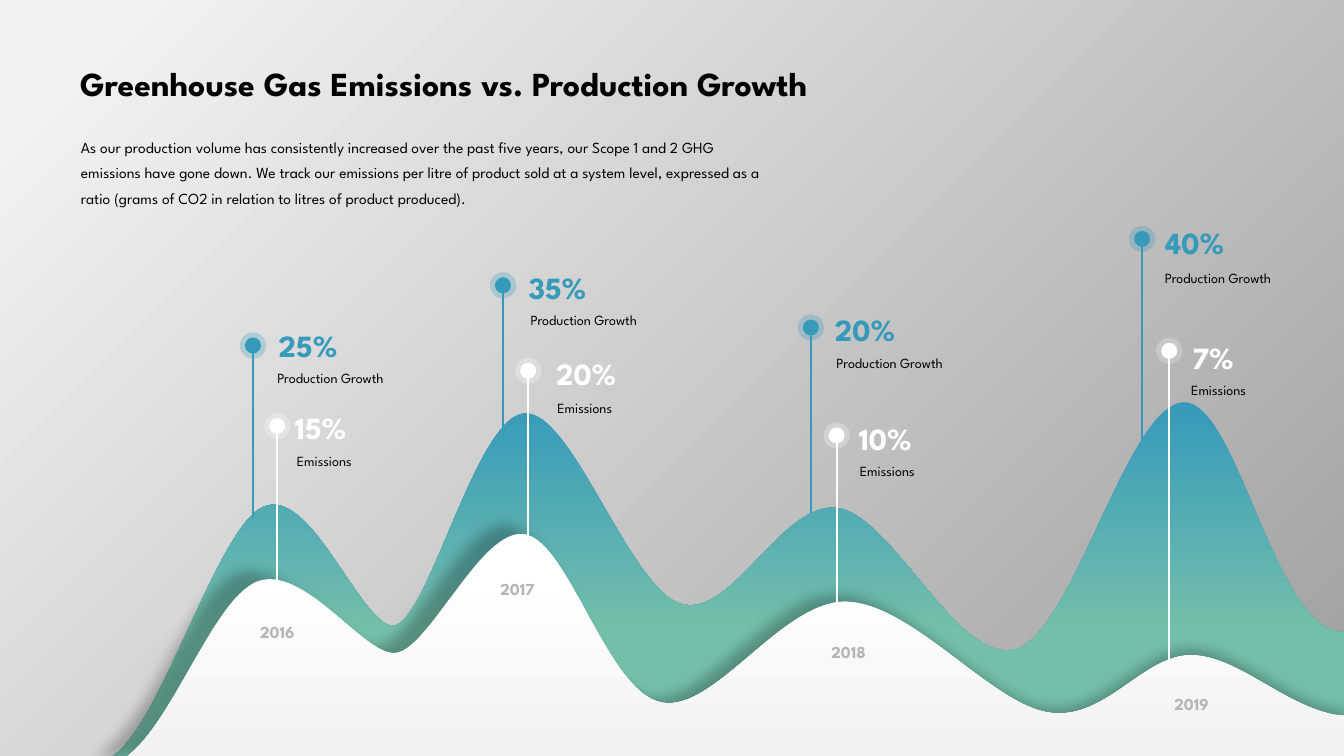
from lxml.etree import Element, SubElement
from pptx import Presentation
from pptx.dml.color import RGBColor as Rgb
from pptx.enum.shapes import MSO_CONNECTOR as Connector, MSO_SHAPE as Preset
from pptx.enum.text import MSO_AUTO_SIZE as AutoSize, PP_ALIGN as Align
from pptx.oxml.ns import qn
from pptx.util import Pt

FONT = "League Spartan"
COLORS = {
    "growth": "369ABA", "emissions": "FFFFFF", "green": "74BFAB", "text": "000000",
    "year": "B5B5B5", "pale": "F2F2F2", "dark": "9F9FA0", "shadow": "000000",
}
CAPTIONS = {"growth": "Production Growth", "emissions": "Emissions"}
HEADLINE = {"size": Pt(24), "bold": True}
BODY = {"size": Pt(11)}
VALUE = {"size": Pt(22), "bold": True}
CAPTION = {"size": Pt(10)}
YEAR = {"size": Pt(12), "bold": True}

TITLE = "Greenhouse Gas Emissions vs. Production Growth"
INTRO = (
    "As our production volume has consistently increased over the past five years, "
    "our Scope 1 and 2 GHG emissions have gone down. We track our emissions per litre "
    "of product sold at a system level, expressed as a ratio (grams of CO2 in relation "
    "to litres of product produced)."
)

GROWTH_WAVE = {
    "start": (78.5, 541.4),
    "curves": [
        (114.5, 522, 154.1, 378, 187.9, 362.2),
        (221.8, 346.3, 257.8, 447.1, 280.8, 447.1),
        (305.3, 446.4, 339.8, 298.1, 374.4, 295.2),
        (408.2, 292.3, 449.3, 419.8, 486, 431.3),
        (523.4, 442.8, 558, 357.8, 598.3, 362.9),
        (637.9, 368.6, 684.7, 475.9, 725.8, 463.7),
        (766.8, 451.4, 805.7, 289.4, 845.3, 287.3),
        (884.2, 285.8, 910.8, 455.8, 961.2, 451.4),
        (960.5, 470.2, 960.5, 489.6, 960.5, 509),
    ],
    "corners": [(960.5, 538.6)],
    "stops": [(0, "growth"), (0.65, "green")],
}
EMISSIONS_WAVE = {
    "start": (85.7, 543.6),
    "curves": [
        (121, 524.9, 151.2, 428.4, 183.6, 415.4),
        (216.7, 402.5, 258.5, 466.6, 281.5, 466.6),
        (306, 466.6, 343.4, 375.8, 375.1, 381.6),
        (406.8, 387.4, 433.4, 493.9, 472.3, 501.8),
        (510.5, 509.8, 558.7, 428.4, 604.8, 429.8),
        (651.6, 431.3, 707.8, 502.6, 748.8, 509),
        (789.8, 515.5, 815.8, 468, 851, 468),
        (884.2, 468.7, 915.1, 502.6, 952.6, 510.5),
    ],
    "corners": [(959.8, 511.2), (959.8, 540)],
    "stops": [(0.16, "emissions"), (0.98, "pale")],
}

GROWTH_PINS = [
    ("35%", (359.3, 203.8, 108), (11.2, -15.2), (12.7, 14.8), 28),
    ("20%", (579.2, 234, 136.8), (10.1, -15.8), (11.2, 15.8), 28),
    ("40%", (815.8, 170.6, 151.2), (9.4, -14.4), (9.2, 18.4), 28),
]
LATE_GROWTH_PINS = [
    ("25%", (180.7, 246.8, 122.4), (11.3, -17.1), (10.3, 13.9), 28),
]
EMISSIONS_PINS = [
    ("10%", (597.6, 311, 129.6), (8.8, -14.4), (9.5, 15.8), 28),
    ("20%", (377.3, 264.8, 122.4), (12.8, -14.9), (13.7, 16.8), 28),
    ("15%", (198, 304.3, 115.2), (5.6, -15.8), (7, 15.4), 27),
    ("7%", (835.2, 250.6, 223.2), (9.4, -12.2), (8.6, 18), 23),
]
YEARS = {
    "2016": (139.5, 434.2), "2017": (311, 403.2),
    "2018": (547.5, 448.2), "2019": (792.5, 485.3),
}


def add_text(shapes, box, text, color, font, spacing=None, align=Align.LEFT):
    shape = shapes.add_textbox(*[Pt(length) for length in box])
    frame = shape.text_frame
    frame.word_wrap = True
    frame.auto_size = AutoSize.SHAPE_TO_FIT_TEXT
    paragraph = frame.paragraphs[0]
    paragraph.alignment = align
    if spacing:
        paragraph.line_spacing = Pt(spacing)
    run = paragraph.add_run()
    run.text = text
    run.font.color.rgb = Rgb.from_string(COLORS[color])
    for name, setting in {"name": FONT, **font}.items():
        setattr(run.font, name, setting)
    return shape


def set_gradient(fill, stops):
    fill.gradient()
    for stop, (position, color) in zip(fill.gradient_stops, stops):
        stop.position = position
        stop.color.rgb = Rgb.from_string(COLORS[color])


def add_background(slide):
    fill = slide.background.fill
    set_gradient(fill, [(0, "dark"), (0.94, "pale")])
    gradient = slide.element.find(".//" + qn("a:gradFill"))
    gradient.remove(gradient.find(qn("a:lin")))
    radial = SubElement(gradient, qn("a:path"), path="circle")
    SubElement(radial, qn("a:fillToRect"), l="100000", t="100000")
    SubElement(gradient, qn("a:tileRect"), r="-100000", b="-100000")


def bend_segments(shape, curves):
    outline = shape.element.spPr.find(".//" + qn("a:path"))
    for segment, curve in zip(outline.findall(qn("a:lnTo")), curves):
        bezier = Element(qn("a:cubicBezTo"))
        for x, y in zip(curve[::2], curve[1::2]):
            SubElement(bezier, qn("a:pt"), x=str(Pt(x) - shape.left), y=str(Pt(y) - shape.top))
        outline.replace(segment, bezier)


def add_wave(slide, wave):
    start, curves = wave["start"], wave["curves"]
    nodes = [curve[-2:] for curve in curves] + wave["corners"]
    builder = slide.shapes.build_freeform(Pt(start[0]), Pt(start[1]))
    builder.add_line_segments([(Pt(x), Pt(y)) for x, y in nodes], close=True)
    shape = builder.convert_to_shape()
    bend_segments(shape, curves)
    shape.shadow.inherit = False
    shape.line.fill.background()
    set_gradient(shape.fill, wave["stops"])
    shape.fill.gradient_angle = 270
    return shape


def add_wave_shadow(shape):
    effects = shape.element.spPr.find(qn("a:effectLst"))
    shadow = SubElement(effects, qn("a:outerShdw"), blurRad=str(Pt(9)), dist=str(Pt(4)),
                        dir="16200000", sx="102000", sy="102000", algn="br", rotWithShape="0")
    color = SubElement(shadow, qn("a:srgbClr"), val=COLORS["shadow"])
    SubElement(color, qn("a:alpha"), val="26000")


def add_pin(slide, box, series, value, value_offset, caption_offset, halo_alpha):
    x, y, length = box
    shapes = slide.shapes.add_group_shape().shapes
    color = Rgb.from_string(COLORS[series])
    labels = [
        (value, series, VALUE, value_offset, (75.6, 33.8)),
        (CAPTIONS[series], "text", CAPTION, caption_offset, (157, 20.2)),
    ]
    for text, text_color, font, (dx, dy), size in labels:
        add_text(shapes, (x + dx, y + dy, *size), text, text_color, font)
    stem = shapes.add_connector(Connector.STRAIGHT, Pt(x), Pt(y + length), Pt(x), Pt(y))
    stem.line.color.rgb = color
    stem.line.width = Pt(1.5)
    SubElement(stem.element.spPr, qn("a:effectLst"))
    for diameter, alpha in ((18.8, halo_alpha), (11.5, 100)):
        corner = Pt(x - diameter / 2), Pt(y - diameter / 2)
        dot = shapes.add_shape(Preset.OVAL, *corner, Pt(diameter), Pt(diameter))
        dot.shadow.inherit = False
        dot.line.fill.background()
        dot.fill.solid()
        dot.fill.fore_color.rgb = color
        if alpha < 100:
            fill_color = dot.element.spPr.find(qn("a:solidFill")).find(qn("a:srgbClr"))
            SubElement(fill_color, qn("a:alpha"), val=str(alpha * 1000))


def add_pins(slide, series, pins):
    for value, box, *details in pins:
        add_pin(slide, box, series, value, *details)


def add_title(slide, box):
    add_text(slide.shapes, box, TITLE, "text", HEADLINE, 20.8)


def add_intro(slide, box):
    intro = add_text(slide.shapes, box, INTRO, "text", BODY, 18.2)
    intro.text_frame.margin_left = Pt(2.2)


def main():
    presentation = Presentation()
    presentation.slide_width, presentation.slide_height = Pt(960), Pt(540)
    slide = presentation.slides.add_slide(presentation.slide_layouts[6])
    add_background(slide)
    add_title(slide, (50.2, 49.7, 632.2, 28.8))
    add_pins(slide, "growth", GROWTH_PINS)
    add_wave(slide, GROWTH_WAVE)
    add_wave_shadow(add_wave(slide, EMISSIONS_WAVE))
    add_intro(slide, (55.6, 90, 502.6, 59.8))
    add_pins(slide, "emissions", EMISSIONS_PINS)
    add_pins(slide, "growth", LATE_GROWTH_PINS)
    for year, corner in YEARS.items():
        add_text(slide.shapes, (*corner, 117.4, 25.9), year, "year", YEAR, 20.8, Align.CENTER)
    presentation.save("out.pptx")


if __name__ == "__main__":
    main()
